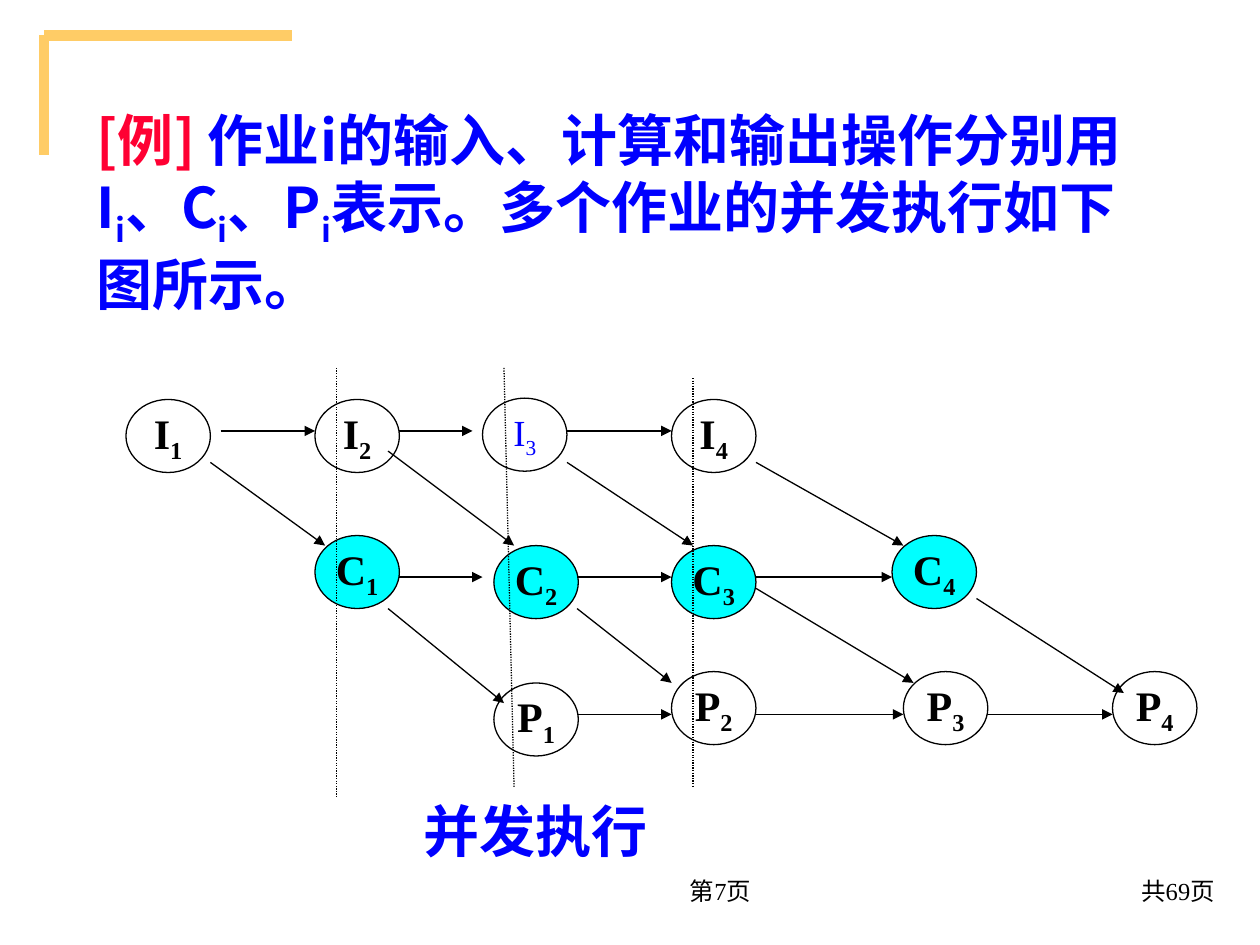
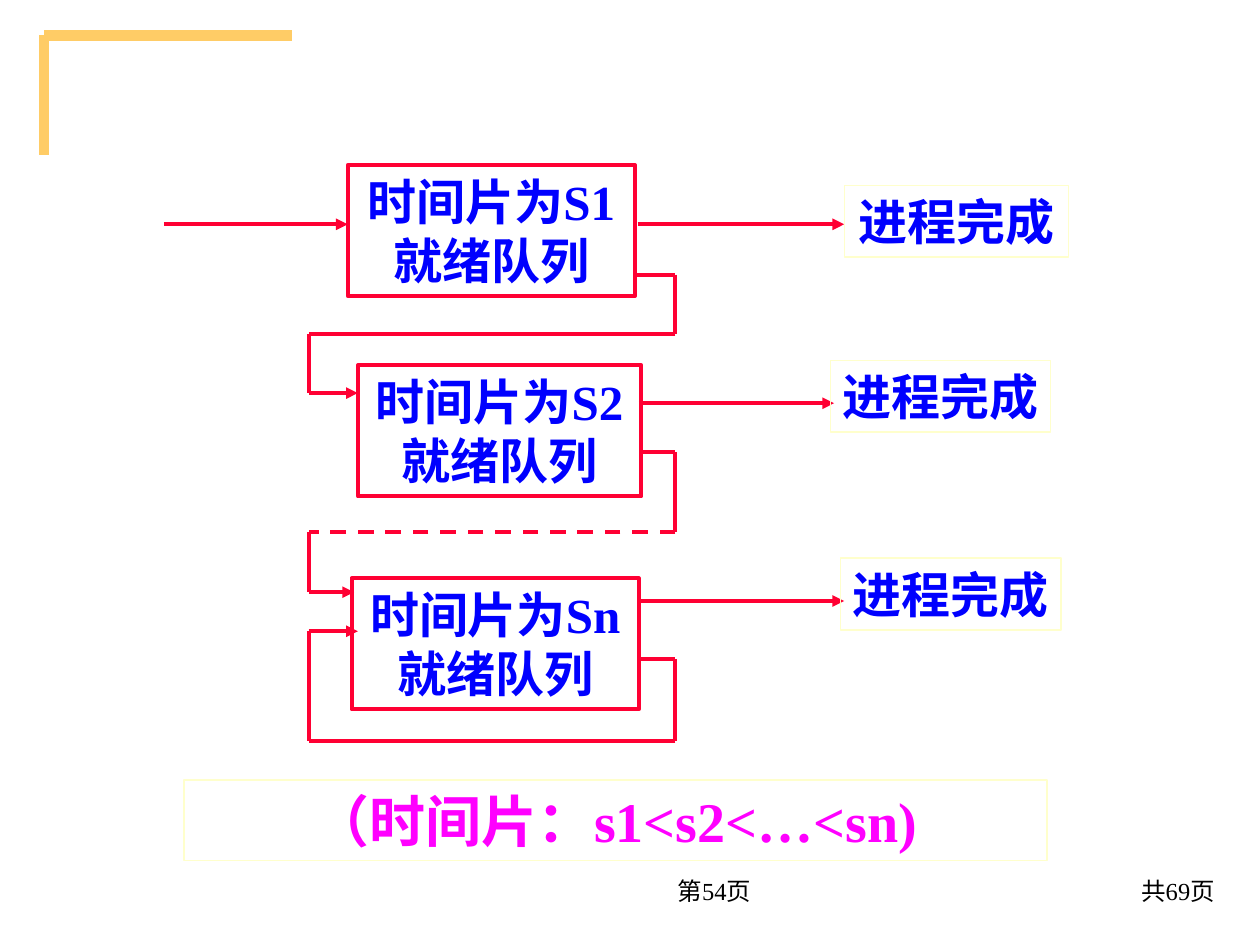
from itertools import pairwise
from lxml.etree import SubElement
from pptx import Presentation
from pptx.dml.color import RGBColor
from pptx.enum.dml import MSO_LINE
from pptx.enum.shapes import MSO_CONNECTOR, MSO_SHAPE
from pptx.enum.text import MSO_ANCHOR, PP_ALIGN
from pptx.oxml.ns import qn
from pptx.util import Emu, Pt

PX = 9144
SERIF, SANS = "Times New Roman", "Noto Sans CJK SC"
HUES = {
    "gold": "FFCC66", "cream": "FFFFCC", "red": "FF0033", "blue": "0000FF",
    "cyan": "00FFFF", "pink": "FF00FF", "white": "FFFFFF", "black": "000000",
}

TOTAL = "共69页"
TITLE = [
    ("[例] ", "red"),
    ("作业i的输入、计算和输出操作分别用I_i、C_i、P_i表示。多个作业的并发执行如下图所示。", "blue"),
]
NODES = {
    "I": [(100, 317), (250, 317), (383, 316), (533, 317)],
    "C": [(250, 425), (392, 433), (533, 433), (708, 425)],
    "P": [(392, 542), (533, 533), (717, 533), (883, 533)],
}
FLOWS = {
    342: [(175, 250), (317, 375), (450, 533)],
    458: [(317, 383), (458, 533), (600, 708)],
    567: [(458, 533), (600, 717), (783, 883)],
}
STEPS = [
    ((167, 367), (258, 433)), ((308, 483), (400, 558)),
    ((308, 358), (408, 433)), ((458, 483), (533, 542)),
    ((450, 367), (550, 433)), ((600, 467), (725, 542)),
    ((600, 367), (717, 433)), ((775, 475), (892, 550)),
]
BARS = [
    ((267, 292), (267, 633)),
    ((400, 292), (408, 625)),
    ((550, 300), (550, 625)),
]
QUEUES = [
    ((276, 131, 228, 104), ["时间片为S1就绪队列"]),
    ((284, 290, 225, 104), ["时间片为S2", "就绪队列"]),
    ((279, 459, 228, 104), ["时间片为Sn", "就绪队列"]),
]
ENDS = [(670, 147, 178, 57), (659, 286, 175, 57), (667, 443, 175, 57)]
RUNS = [(130, 276, 178), (506, 670, 178), (507, 662, 320), (507, 670, 477)]
LEFT, RIGHT = 245, 536
LOOPS = [
    (504, 218, 265, 284, 312, None),
    (509, 359, 422, 281, 470, MSO_LINE.DASH),
    (509, 523, 588, 284, 501, None),
]


def tone(name):
    return RGBColor.from_string(HUES[name])


def place(box):
    return [Emu(n * PX) for n in box]


def style(run, size, hue, bold, face, sub):
    font = run.font
    font.size, font.bold, font.name = Pt(size), bold, face
    font.color.rgb = tone(hue)
    props = run._r.get_or_add_rPr()
    SubElement(props, qn("a:ea")).set("typeface", SANS)
    if sub:
        props.set("baseline", "-25000")


def write(shape, paras, size, bold=True, face=SERIF, align=PP_ALIGN.CENTER,
          anchor=MSO_ANCHOR.TOP, wrap=True):
    frame = shape.text_frame
    frame.word_wrap, frame.vertical_anchor = wrap, anchor
    for i, parts in enumerate(paras):
        para = frame.add_paragraph() if i else frame.paragraphs[0]
        para.alignment = align
        for text, hue in parts:
            first, *rest = text.split("_")
            bits = [(first, False)]
            for part in rest:
                bits += [(part[0], True), (part[1:], False)]
            for bit, sub in bits:
                if bit:
                    run = para.add_run()
                    run.text = bit
                    style(run, size, hue, bold, face, sub)


def label(slide, box, paras, size, **opts):
    write(slide.shapes.add_textbox(*place(box)), paras, size, **opts)


def panel(slide, kind, box, edge, width, fill=None):
    shape = slide.shapes.add_shape(kind, *place(box))
    shape.shadow.inherit = False
    if fill:
        shape.fill.solid()
        shape.fill.fore_color.rgb = tone(fill)
    else:
        shape.fill.background()
    shape.line.color.rgb = tone(edge)
    shape.line.width = Pt(width)
    return shape


def line(slide, start, end, hue="black", width=0.75, arrow=False, dash=None):
    link = slide.shapes.add_connector(MSO_CONNECTOR.STRAIGHT, *place(start + end))
    link.line.color.rgb = tone(hue)
    link.line.width = Pt(width)
    if dash:
        link.line.dash_style = dash
    if arrow:
        SubElement(link.line._get_or_add_ln(), qn("a:tailEnd")).set("type", "triangle")
    SubElement(link._element.spPr, qn("a:effectLst"))


def start(deck, page):
    slide = deck.slides.add_slide(deck.slide_layouts[6])
    for end in [(232, 28), (35, 123)]:
        line(slide, (35, 28), end, "gold", 6)
    for box, text in [((657, 682, 317, 50), TOTAL), ((398, 682, 208, 50), f"第{page}页")]:
        label(slide, box, [[(text, "black")]], 14, bold=False,
              align=PP_ALIGN.RIGHT, anchor=MSO_ANCHOR.MIDDLE)
    return slide


def draw_jobs(deck):
    slide = start(deck, 7)
    label(slide, (67, 60, 844, 215), [TITLE], 32, face=SANS,
          align=PP_ALIGN.LEFT, anchor=MSO_ANCHOR.MIDDLE)
    for kind, spots in NODES.items():
        for i, spot in enumerate(spots, 1):
            fill = "cyan" if kind == "C" else "white"
            node = panel(slide, MSO_SHAPE.OVAL, spot + (67, 58), "black", 0.75, fill)
            pale = (kind, i) == ("I", 3)
            write(node, [[(f"{kind}_{i}", "blue" if pale else "black")]],
                  21 if pale else 24, bold=not pale,
                  anchor=MSO_ANCHOR.MIDDLE, wrap=False)
    for y, spans in FLOWS.items():
        for a, b in spans:
            line(slide, (a, y), (b, y), arrow=True)
    for a, b in STEPS:
        line(slide, a, b, arrow=True)
    for a, b in BARS:
        line(slide, a, b, dash=MSO_LINE.ROUND_DOT)
    label(slide, (303, 627, 244, 64), [[("并发执行", "blue")]], 32)


def draw_queues(deck):
    slide = start(deck, 54)
    note = panel(slide, MSO_SHAPE.RECTANGLE, (146, 619, 685, 64), "cream", 0.75)
    write(note, [[("（时间片：s1<s2<…<sn)", "pink")]], 32)
    for box, rows in QUEUES:
        shape = panel(slide, MSO_SHAPE.RECTANGLE, box, "red", 2.25)
        write(shape, [[(row, "blue")] for row in rows], 28, wrap=len(rows) == 1)
    for a, b, y in RUNS:
        line(slide, (a, y), (b, y), "red", 2.25, arrow=True)
    for x, y, low, tip, back, dash in LOOPS:
        dots = [(x, y), (RIGHT, y), (RIGHT, low), (LEFT, low), (LEFT, back), (tip, back)]
        for i, (a, b) in enumerate(pairwise(dots)):
            line(slide, a, b, "red", 2.25, arrow=i == 4, dash=dash if i == 2 else None)
    for box in ENDS:
        shape = panel(slide, MSO_SHAPE.RECTANGLE, box, "cream", 0.75)
        write(shape, [[("进程完成", "blue")]], 28, wrap=False)


def main():
    deck = Presentation()
    deck.slide_width, deck.slide_height = place((1000, 750))
    draw_jobs(deck)
    draw_queues(deck)
    deck.save("out.pptx")


if __name__ == "__main__":
    main()
